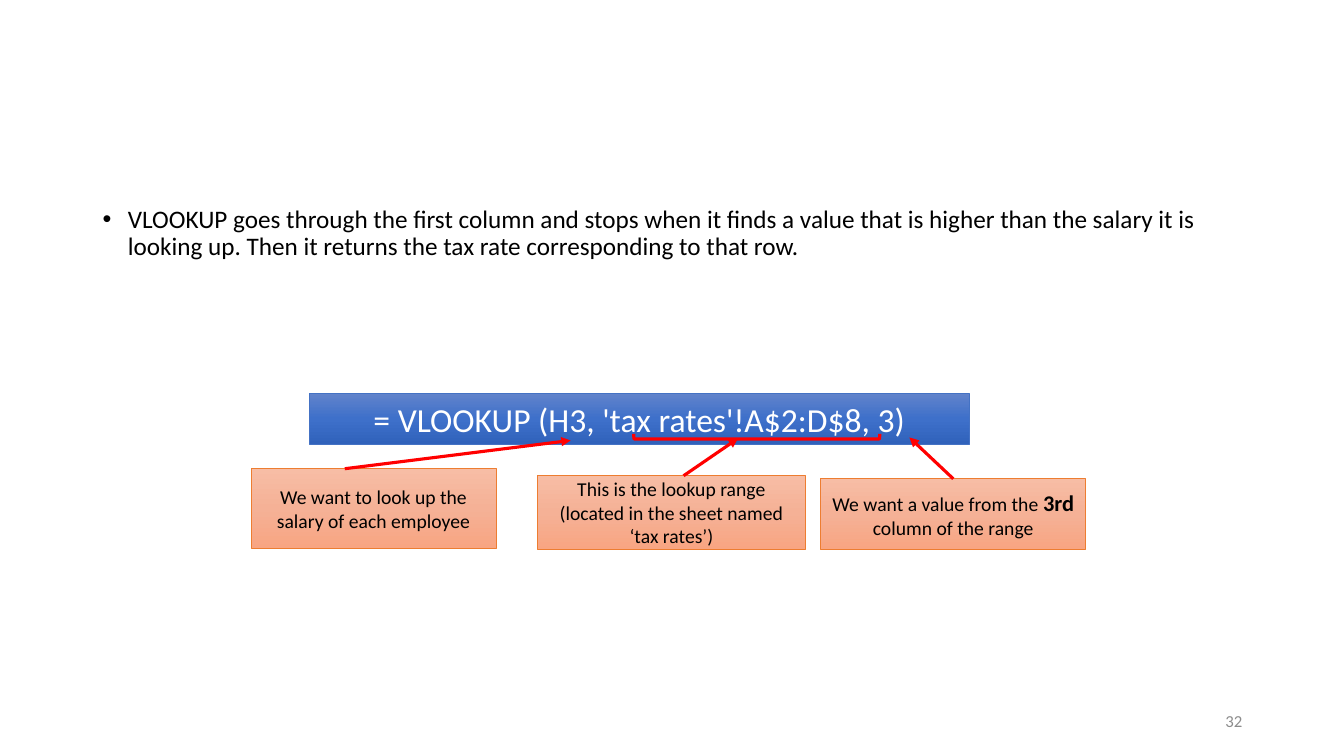
from copy import deepcopy

from lxml import etree
from pptx import Presentation
from pptx.dml.color import RGBColor
from pptx.enum import shapes, text
from pptx.oxml import ns
from pptx.util import Inches, Pt

HUES = {
    "black": "000000", "white": "FFFFFF", "grey": "8C8C8C", "red": "FF0000",
    "blue": "4472C4", "orange": "ED7D31",
}
FADES = {
    "blue": ["6183CB", "3E70CA", "3062BB"],
    "orange": ["F7BDA5", "F5B196", "F8A582"],
}

deck = Presentation()
deck.slide_width, deck.slide_height = Inches(13.33), Inches(7.5)
slide = deck.slides.add_slide(deck.slide_layouts[6])


def write(shape, runs, hue, align, anchor):
    """Fill a shape with one paragraph of (words, size, bold) runs."""
    frame = shape.text_frame
    frame.word_wrap = True
    frame.vertical_anchor = anchor
    para = frame.paragraphs[0]
    para.alignment = align
    for words, size, bold in runs:
        run = para.add_run()
        run.text = words
        run.font.name, run.font.size, run.font.bold = "Calibri", Pt(size), bold
        run.font.color.rgb = RGBColor.from_string(HUES[hue])
    return para


def ink(line, hue, width):
    line.color.rgb = RGBColor.from_string(HUES[hue])
    line.width = Pt(width)


# Body text and slide number
body = slide.shapes.add_textbox(Inches(0.92), Inches(2), Inches(11.5), Inches(4.76))
para = write(body, [(
    "VLOOKUP goes through the first column and stops when it finds a value that is "
    "higher than the salary it is looking up. Then it returns the tax rate "
    "corresponding to that row.", 18, False)],
    "black", text.PP_ALIGN.LEFT, text.MSO_ANCHOR.TOP)
para.line_spacing = 0.9
props = para._p.get_or_add_pPr()
props.set("marL", str(Inches(0.25)))
props.set("indent", str(Inches(-0.25)))
etree.SubElement(props, ns.qn("a:buFont"), typeface="Arial")
etree.SubElement(props, ns.qn("a:buChar"), char="•")

page = slide.shapes.add_textbox(Inches(9.42), Inches(6.95), Inches(3), Inches(0.4))
write(page, [("32", 12, False)], "grey", text.PP_ALIGN.RIGHT, text.MSO_ANCHOR.MIDDLE)

# Formula bar and its three notes
boxes = []
for left, top, width, height, hue, font, runs in [
    (3.07, 3.9, 6.54, 0.51, "blue", "white",
     [("= VLOOKUP (H3, 'tax rates'!A$2:D$8, 3)", 24, False)]),
    (2.49, 4.65, 2.43, 0.79, "orange", "black",
     [("We want to look up the salary of each employee", 14, False)]),
    (5.33, 4.72, 2.66, 0.73, "orange", "black",
     [("This is the lookup range (located in the sheet named ‘tax rates’)", 14, False)]),
    (8.14, 4.75, 2.63, 0.7, "orange", "black",
     [("We want a value from the ", 14, False), ("3rd", 16, True),
      (" column of the range", 14, False)]),
]:
    box = slide.shapes.add_shape(shapes.MSO_SHAPE.RECTANGLE, Inches(left), Inches(top),
                                 Inches(width), Inches(height))
    box.shadow.inherit = False
    box.fill.gradient()
    box.fill.gradient_angle = 270
    stops = box._element.spPr.find(".//" + ns.qn("a:gsLst"))
    stops.append(deepcopy(stops[-1]))
    for stop, shade, place in zip(box.fill.gradient_stops, FADES[hue], (0, 0.5, 1)):
        stop.color.rgb = RGBColor.from_string(shade)
        stop.position = place
    ink(box.line, hue, 0.5)
    write(box, runs, font, text.PP_ALIGN.CENTER, text.MSO_ANCHOR.MIDDLE)
    boxes.append(box)

# Bracket under the range, turned to lie flat
brace = slide.shapes.add_shape(shapes.MSO_SHAPE.RIGHT_BRACKET, Inches(7.48), Inches(3.11),
                               Inches(0.05), Inches(2.44))
brace.rotation = 90
brace.shadow.inherit = False
brace.fill.background()
ink(brace.line, "red", 2.25)

# Arrows from the notes to the formula
for x1, y1, x2, y2, note in [
    (3.42, 4.65, 5.66, 4.37, None),
    (6.78, 4.72, 7.32, 4.35, None),
    (9.45, 4.75, 9.02, 4.34, boxes[3]),
]:
    arrow = slide.shapes.add_connector(shapes.MSO_CONNECTOR.STRAIGHT, Inches(x1), Inches(y1),
                                       Inches(x2), Inches(y2))
    if note:
        arrow.begin_connect(note, 0)
    ink(arrow.line, "red", 2.25)
    etree.SubElement(arrow.line._get_or_add_ln(), ns.qn("a:tailEnd"), type="triangle")
    etree.SubElement(arrow._element.spPr, ns.qn("a:effectLst"))

deck.save("out.pptx")
